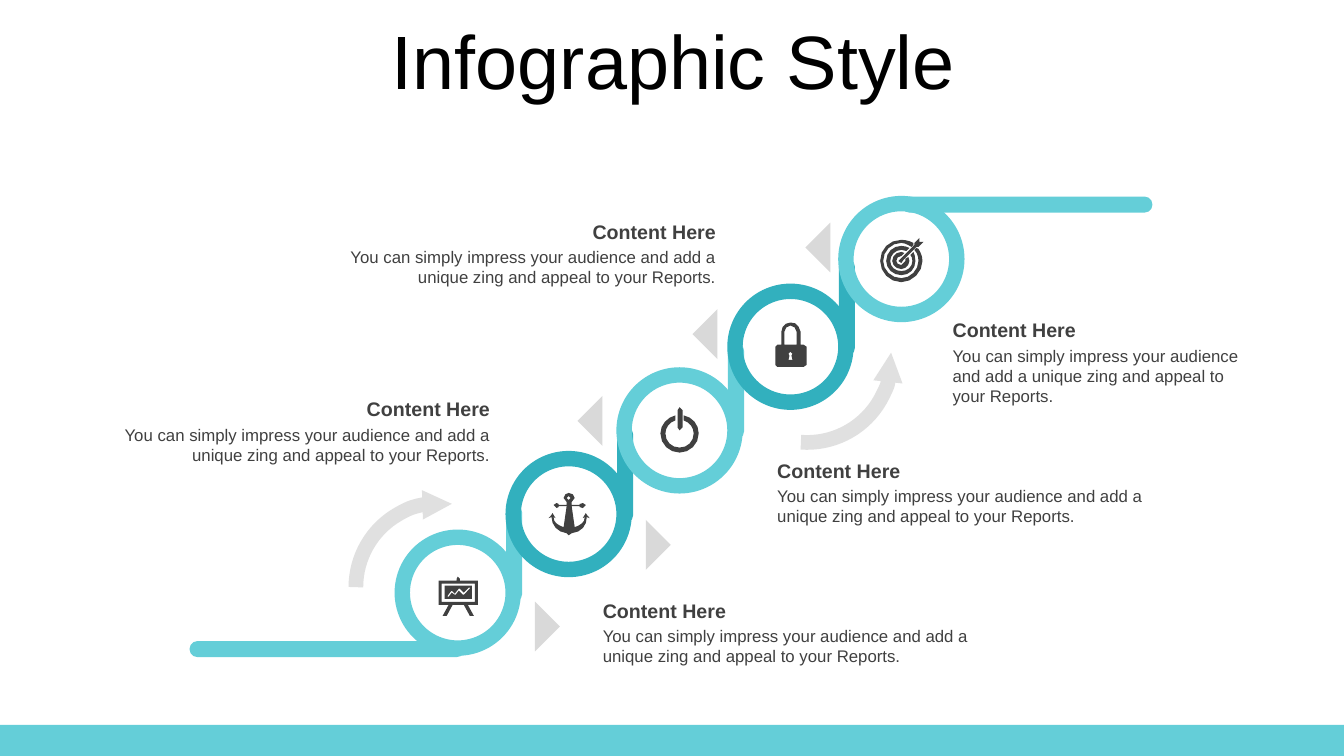
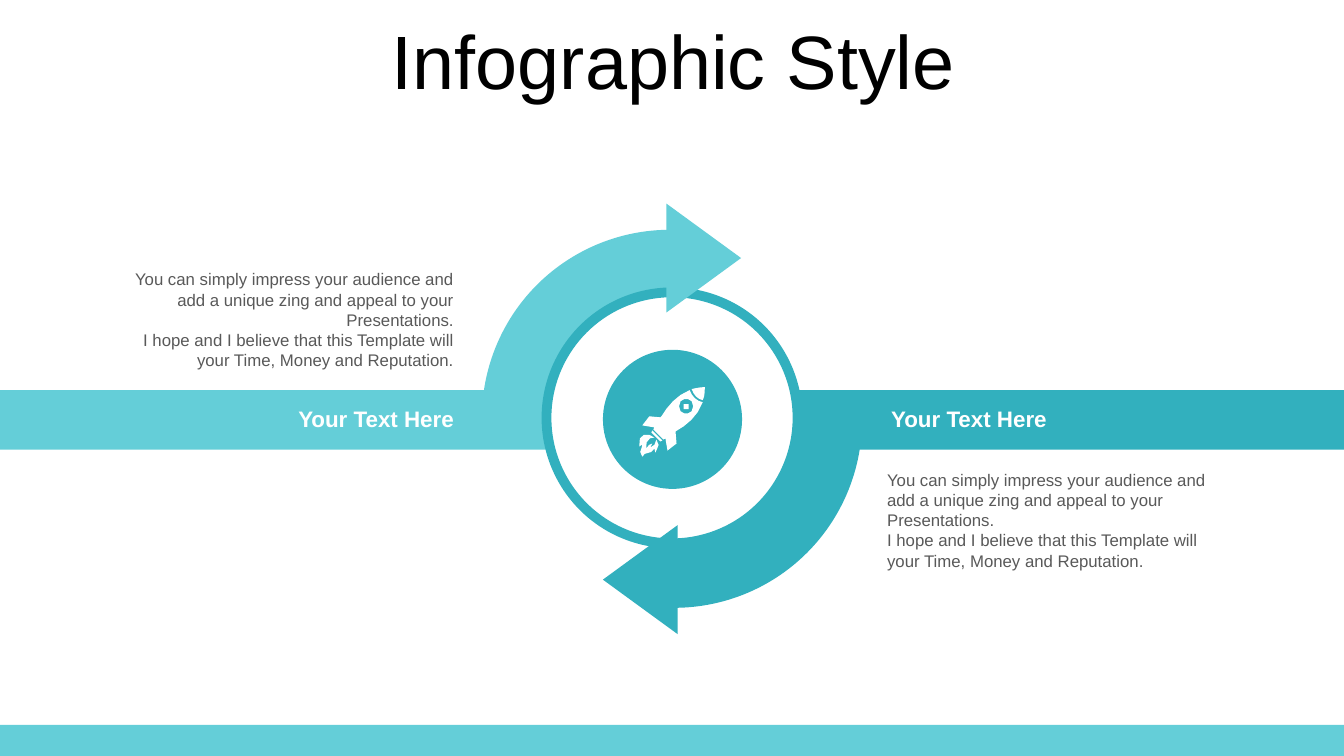
from dataclasses import dataclass
from math import dist
from typing import Iterator, NamedTuple

from lxml.etree import SubElement
from pptx import Presentation
from pptx.dml.color import RGBColor
from pptx.enum.shapes import MSO_SHAPE as Shape
from pptx.enum.text import MSO_ANCHOR as Anchor, MSO_AUTO_SIZE as AutoSize, PP_ALIGN as Align
from pptx.oxml.ns import qn
from pptx.util import Inches, Pt

# The grid has square cells, one inch wide.
COLS, ROWS = 13.33, 7.5
LIGHT, DARK, GREY = "64CED8", "32B0BE", "D9D9D9"
WHITE, BLACK, INK, SOFT_INK = "FFFFFF", "000000", "404040", "595959"
FONT = "Arial"
TITLE = "Infographic Style"
TITLE_FONT = {"name": FONT, "size": Pt(54), "bold": False}
HEAD_FONT = {"name": FONT, "size": Pt(14), "bold": True}
BAND_FONT = {"name": FONT, "size": Pt(16), "bold": True}
BODY_FONT = {"name": FONT, "size": Pt(12), "bold": False}
CURVE_PIECE, MAX_PIECES = Inches(0.04), 4


class Box(NamedTuple):
    col: float
    row: float
    cols: float
    rows: float


@dataclass
class Caption:
    col: float
    row: float
    cols: float
    lines: int
    align: Align


@dataclass
class Pointer:
    col: float
    row: float
    turn: float


@dataclass
class CurvedArrow:
    box: Box
    turn: float
    end: str


@dataclass
class Side:
    """One half of the cycle: its band, swirl, arrowhead and texts."""
    color: str
    align: Align
    band: Box
    swirl: Box
    swirl_turn: float
    arrowhead: Box
    arrowhead_turn: float
    label: Box
    body: Box


# Outlines in hundredths of a cell: corners, or curves written as control:control:end.
BOARD = (
    "465,583 460,588 456,584 455,584 451,589 448,586 447,587 444,591 444,592 445,592 448,588 "
    "451,590 452,590 455,586 459,590 460,590 466,584 466,583",
    "441,581 468,581 468,594 441,594",
    "438,579 438,597 471,597 471,579",
    "454,572 455,572:456,573:456,574 456,576 474,576 474,600 464,600 470,611 466,611 460,600 "
    "449,600 443,611 439,611 445,600 435,600 435,576 453,576 453,574 453,573:453,572:454,572",
)
POWER = (
    "670,412 670,417 664,419:660,424:660,430 660,438:666,444:674,444 682,444:688,438:688,430 "
    "688,424:684,419:678,417 678,412 687,414:693,421:693,430 693,441:684,449:674,449 "
    "664,449:655,441:655,430 655,421:662,414:670,412",
    "674,404 676,404:677,406:677,407 677,424 677,425:676,427:674,427 673,427:672,425:672,424 "
    "672,407 672,406:673,404:674,404",
)
TARGET = (
    "894,250 895,250:896,251:897,251 894,254 891,254:889,256:889,259 889,261:891,263:894,263 "
    "896,263:898,261:898,259 898,258:898,258:898,257 901,255 901,256:902,257:902,259 "
    "902,263:898,267:894,267 889,267:885,263:885,259 885,254:889,250:894,250",
    "894,244 897,244:900,245:902,246 899,249 898,248:896,248:894,248 888,248:883,253:883,259 "
    "883,265:888,269:894,269 900,269:905,265:905,259 905,256:904,254:903,253 906,250 "
    "907,252:908,255:908,259 908,267:902,273:894,273 886,273:879,267:879,259 "
    "879,250:886,244:894,244",
    "894,238 898,238:902,239:906,241 906,243 904,245 901,243:897,241:894,241 "
    "884,241:876,249:876,259 876,268:884,276:894,276 903,276:911,268:911,259 "
    "911,255:910,251:907,248 909,246 911,247 913,250:915,254:915,259 "
    "915,270:905,280:894,280 882,280:873,270:873,259 873,247:882,238:894,238",
    "912,236 912,240 916,240 911,245 909,245 896,258 896,260:895,261:894,261 "
    "892,261:891,260:891,259 891,257:892,256:894,256 907,243 907,241",
)
PADLOCK = (
    "784,349 783,349:782,350:782,351 782,352:782,352:783,353 782,357 786,357 785,353 "
    "786,352:786,352:786,351 786,350:785,349:784,349",
    "784,323 781,323:778,326:778,329 778,342 790,342 790,329 790,326:787,323:784,323",
    "784,320 789,319:793,324:794,329 794,342 797,342 798,342:800,343:800,344 800,362 "
    "800,363:798,364:797,364 771,364 770,364:769,363:769,362 769,344 769,343:770,342:771,342 "
    "775,342 775,329 775,324:779,320:784,320",
)
ANCHOR = (
    "564,492 563,492:562,493:562,494 562,495:563,496:564,496 565,496:566,495:566,494 "
    "566,493:565,492:564,492",
    "564,489 567,489:570,491:570,494 570,496:569,497:567,498 567,501 575,501 575,500 "
    "576,499:577,499:578,499 579,499:581,500:581,501 581,503:579,504:578,504 "
    "577,504:576,504:575,503 575,502 567,502 570,523 575,521:580,519:580,513 "
    "579,514:579,514:578,514 579,512:581,511:581,509 582,511:583,512:585,514 "
    "584,514:583,514:582,513 582,521:577,528:567,529 566,530:565,530:564,531 "
    "564,530:563,530:562,529 553,528:547,521:547,513 546,514:545,514:544,514 "
    "546,512:547,511:548,509 548,511:549,512:551,514 550,514:549,514:549,513 "
    "549,519:554,521:559,523 562,502 554,502 554,503 554,504:553,504:552,504 "
    "550,504:549,503:549,501 549,500:550,499:552,499 553,499:554,499:554,500 554,501 "
    "562,501 562,498 560,497:559,496:559,494 559,491:562,489:564,489",
)
ROCKET = (
    "649,434 645,433:639,438:641,445 642,441:645,441:647,440 646,441:644,441:645,444 "
    "647,440:652,443:651,436 656,443:651,444:650,449 648,448:650,443:649,445 "
    "645,452:640,447:637,453 632,448:638,444:637,441 637,440:635,440:634,443 "
    "632,429:643,429:649,434",
    "647,427 657,437 656,437:655,438:655,438 646,429",
    "683,401 684,402:684,404:683,406 682,407:679,407:678,406 677,404:677,402:678,401 "
    "679,399:682,399:683,401",
    "686,398 683,395:678,395:675,398 673,401:673,405:675,408 678,411:683,411:686,408 "
    "688,405:688,401:686,398",
    "684,387 686,393:691,398:697,399 692,413:681,422:670,428 671,440 662,447 660,435 658,436 "
    "648,426 648,425:649,425:649,424 637,422 644,413 655,414 656,413 662,403:671,392:684,387",
    "699,384 699,389:699,393:697,397 692,396:688,392:686,386 690,385:695,384:699,384",
)

RING_COLS, RING_STEP, FIRST_RING = 1.1, 1.1, 3.99
RING_ROWS = (5.33, 4.55, 3.72, 2.89, 2.02)
ROD, POST_ROWS = 0.16, 0.96
RAILS = (Box(8.94, 1.95, 2.49, ROD), Box(1.88, 6.36, 2.73, ROD))
ARROWS = (
    CurvedArrow(Box(7.17, 2.72, 1.67, 1.67), 86.2, "a:headEnd"),
    CurvedArrow(Box(3.53, 4.99, 1.67, 1.67), 270, "a:tailEnd"),
)
POINTERS = (
    Pointer(8.06, 2.28, 45), Pointer(6.94, 3.14, 45), Pointer(5.8, 4, 45),
    Pointer(6.23, 5.23, 225), Pointer(5.13, 6.04, 225),
)
POINTER_SIZE = 0.35
CAPTION_HEAD = "Content Here"
CAPTION_BODY = ("You can simply impress your audience and add a unique zing "
                "and appeal to your Reports.")
CAPTIONS = (
    Caption(3.24, 2.13, 3.96, 2, Align.RIGHT),
    Caption(7.61, 4.5, 4.02, 2, Align.LEFT),
    Caption(1, 3.89, 3.96, 2, Align.RIGHT),
    Caption(9.35, 3.11, 3.16, 3, Align.LEFT),
    Caption(5.88, 5.89, 4.02, 2, Align.LEFT),
)

SIDE_LABEL = "Your Text Here"
SIDE_BODY = (
    "You can simply impress your audience and add a unique zing and appeal "
    "to your Presentations.",
    "I hope and I believe that this Template will your Time, Money and Reputation.",
)
SIDES = (
    Side(LIGHT, Align.RIGHT, Box(0, 3.87, 5.42, 0.59), Box(4.78, 2.28, 3.73, 3.73), 0,
         Box(6.44, 2.19, 1.08, 0.74), 90, Box(1.78, 3.97, 2.82, 0.37),
         Box(1, 2.62, 3.6, 1.11)),
    Side(DARK, Align.LEFT, Box(7.91, 3.87, 5.42, 0.59), Box(4.82, 2.3, 3.73, 3.73), 180,
         Box(5.81, 5.38, 1.08, 0.74), 270, Box(8.74, 3.97, 2.79, 0.37),
         Box(8.7, 4.61, 3.6, 1.11)),
)


def rgb(color: str) -> RGBColor:
    return RGBColor.from_string(color)


def place(box: Box) -> list[int]:
    return [Inches(cells) for cells in box]


def paint(shape, fill: str | None, line: str | None = None, width: float = 0) -> None:
    shape.shadow.inherit = False
    if fill:
        shape.fill.solid()
        shape.fill.fore_color.rgb = rgb(fill)
    else:
        shape.fill.background()
    if line:
        shape.line.color.rgb = rgb(line)
        shape.line.width = Pt(width)
    else:
        shape.line.fill.background()


def add_shape(slide, kind: Shape, box: Box, fill: str | None = None, line: str | None = None,
              width: float = 0, turn: float = 0, adjust: tuple[float, ...] = ()):
    shape = slide.shapes.add_shape(kind, *place(box))
    shape.rotation = turn
    for index, value in enumerate(adjust):
        shape.adjustments[index] = value
    paint(shape, fill, line, width)
    return shape


def write(frame, paragraphs: tuple[str, ...], font: dict, color: str, align: Align) -> None:
    frame.word_wrap = True
    frame.text = "\n".join(paragraphs)
    for paragraph in frame.paragraphs:
        paragraph.alignment = align
        for name, value in font.items():
            setattr(paragraph.font, name, value)
        paragraph.font.color.rgb = rgb(color)


def add_text(slide, box: Box, paragraphs: tuple[str, ...], font: dict, color: str,
             align: Align) -> None:
    frame = slide.shapes.add_textbox(*place(box)).text_frame
    write(frame, paragraphs, font, color, align)
    frame.auto_size = AutoSize.SHAPE_TO_FIT_TEXT


def trace(contour: str) -> Iterator[tuple[int, int]]:
    """Yield the points of an outline in EMU, with longer curves cut into more pieces."""
    here = (0, 0)
    for step in contour.split():
        points = [tuple(Inches(int(n) / 100) for n in pair.split(","))
                  for pair in step.split(":")]
        if len(points) == 3:
            corners = (here, *points)
            pieces = min(MAX_PIECES, round(dist(here, points[-1]) / CURVE_PIECE))
            for i in range(1, pieces):
                t = i / pieces
                weights = ((1 - t) ** 3, 3 * t * (1 - t) ** 2, 3 * t * t * (1 - t), t ** 3)
                yield tuple(round(sum(w * p[axis] for w, p in zip(weights, corners)))
                            for axis in (0, 1))
        here = points[-1]
        yield here


def add_icon(slide, contours: tuple[str, ...], color: str) -> None:
    builder = None
    for contour in contours:
        start, *rest = trace(contour)
        if builder is None:
            builder = slide.shapes.build_freeform(*start, scale=1.0)
        else:
            builder.move_to(*start)
        builder.add_line_segments(rest, close=True)
    paint(builder.convert_to_shape(), color)


def add_curved_arrow(slide, arrow: CurvedArrow) -> None:
    arc = add_shape(slide, Shape.ARC, arrow.box, None, GREY, 10.5, arrow.turn, (162, 4.81))
    line = arc.element.spPr.find(qn("a:ln"))
    SubElement(line.find(".//" + qn("a:srgbClr")), qn("a:alpha"), val="80000")
    SubElement(line, qn(arrow.end), type="triangle", w="sm", len="sm")


def add_titled_slide(prs):
    slide = prs.slides.add_slide(prs.slide_layouts[5])
    title = slide.shapes.title
    title.left, title.top, title.width, title.height = place(Box(0.35, 0.25, 12.66, 0.79))
    write(title.text_frame, (TITLE,), TITLE_FONT, BLACK, Align.CENTER)
    title.text_frame.auto_size = AutoSize.NONE
    title.text_frame.vertical_anchor = Anchor.MIDDLE
    title.text_frame.paragraphs[0].line_spacing = 0.9
    return slide


def move_to_master(prs, shape) -> None:
    shape.element.nvSpPr.cNvPr.set("id", "20")
    prs.slide_master.shapes.element.append(shape.element)


def build_staircase(prs) -> None:
    slide = add_titled_slide(prs)
    move_to_master(prs, add_shape(slide, Shape.RECTANGLE, Box(0, 7.19, COLS, 0.31), LIGHT))
    for index, row in enumerate(RING_ROWS):
        color = DARK if index % 2 else LIGHT
        col = FIRST_RING + index * RING_STEP
        add_shape(slide, Shape.OVAL, Box(col, row, RING_COLS, RING_COLS), None, color, 11)
        if index < len(RING_ROWS) - 1:
            post = Box(col + RING_COLS + 0.01 - ROD / 2, row - 0.32, ROD, POST_ROWS)
            add_shape(slide, Shape.ROUNDED_RECTANGLE, post, color, adjust=(0.5,))
    for rail in RAILS:
        add_shape(slide, Shape.ROUNDED_RECTANGLE, rail, LIGHT, adjust=(0.5,))
    for arrow in ARROWS:
        add_curved_arrow(slide, arrow)
    for pointer in POINTERS:
        box = Box(pointer.col, pointer.row, POINTER_SIZE, POINTER_SIZE)
        add_shape(slide, Shape.RIGHT_TRIANGLE, box, GREY, turn=pointer.turn)
    for note in CAPTIONS:
        head = Box(note.col, note.row, note.cols, 0.34)
        body = Box(note.col, note.row + 0.27, note.cols, 0.1 + 0.2 * note.lines)
        add_text(slide, head, (CAPTION_HEAD,), HEAD_FONT, INK, note.align)
        add_text(slide, body, (CAPTION_BODY,), BODY_FONT, INK, note.align)
    for icon in (BOARD, POWER, TARGET, PADLOCK, ANCHOR):
        add_icon(slide, icon, INK)


def build_cycle(prs) -> None:
    slide = add_titled_slide(prs)
    for side in SIDES:
        add_shape(slide, Shape.RECTANGLE, side.band, side.color)
    for side in SIDES:
        add_shape(slide, Shape.PIE, side.swirl, side.color, turn=side.swirl_turn,
                  adjust=(107.76, 162))
    add_shape(slide, Shape.OVAL, Box(5.42, 2.9, 2.49, 2.49), WHITE, DARK, 7)
    for side in SIDES:
        add_shape(slide, Shape.ISOSCELES_TRIANGLE, side.arrowhead, side.color,
                  turn=side.arrowhead_turn)
        add_text(slide, side.label, (SIDE_LABEL,), BAND_FONT, WHITE, side.align)
        add_text(slide, side.body, SIDE_BODY, BODY_FONT, SOFT_INK, side.align)
    add_shape(slide, Shape.OVAL, Box(5.98, 3.47, 1.38, 1.38), DARK)
    add_icon(slide, ROCKET, WHITE)


def main() -> None:
    prs = Presentation()
    prs.slide_width, prs.slide_height = Inches(COLS), Inches(ROWS)
    build_staircase(prs)
    build_cycle(prs)
    prs.save("out.pptx")


if __name__ == "__main__":
    main()
